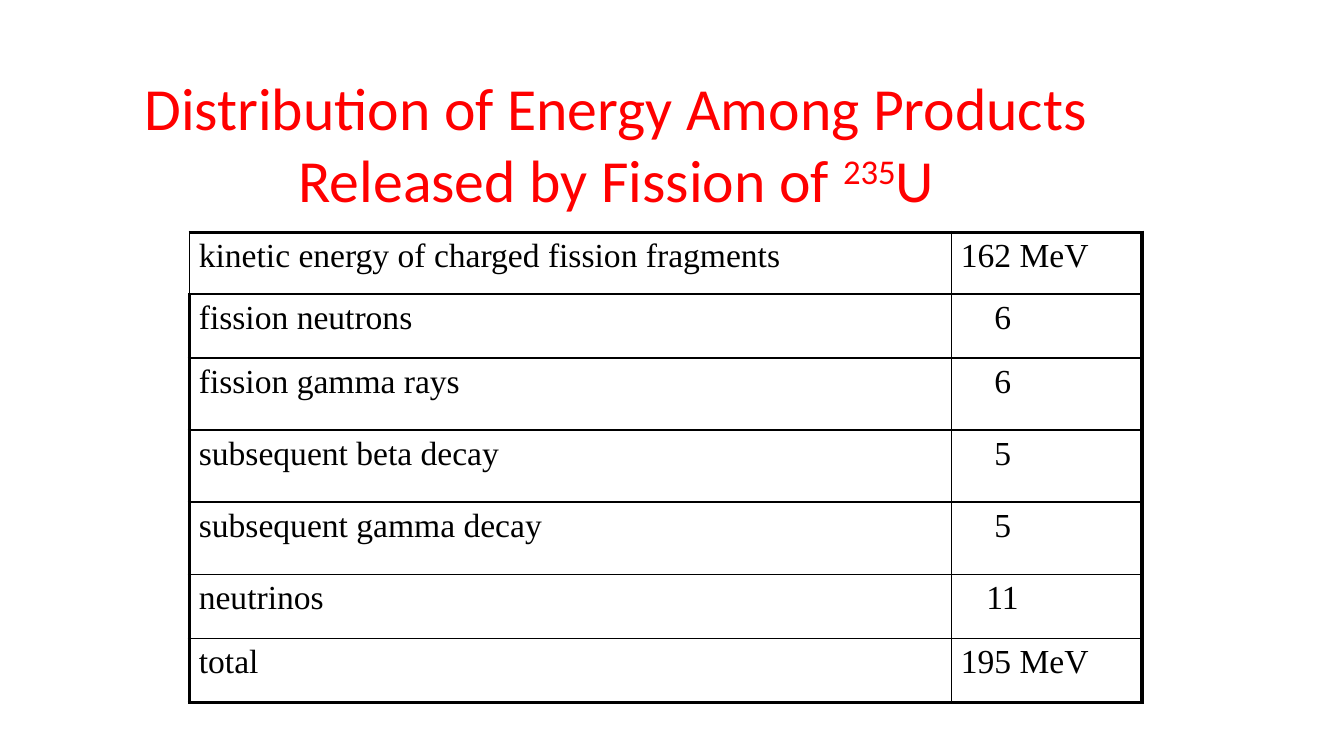
"""Build a slide with a table of the energy released by fission of uranium-235."""
import pptx
import pptx.dml.color
import pptx.enum.text
import pptx.oxml.ns
import pptx.util
from lxml import etree

Inches = pptx.util.Inches
Pt = pptx.util.Pt

TITLE = [
    ("Distribution of Energy Among Products Released by Fission of ", 0),
    ("235", 30),
    ("U", 0),
]
ROWS = [
    ("kinetic energy of charged fission fragments", "162 MeV", 0.46),
    ("fission neutrons", "6", 0.48),
    ("fission gamma rays", "6", 0.54),
    ("subsequent beta decay", "5", 0.54),
    ("subsequent gamma decay", "5", 0.54),
    ("neutrinos", "11", 0.48),
    ("total", "195 MeV", 0.48),
]
COLUMN_WIDTHS = [5.67, 1.42]
TABLE_HEIGHT = 3.5
VALUE_INDENTS = {1: 0.25, 2: 0.19}
THIN, THICK = 1, 2.25


def color(hex_text):
    return pptx.dml.color.RGBColor.from_string(hex_text)


def add_text(p, text, font="Times New Roman", size=18, fill="000000", baseline=0):
    r = p.add_run()
    r.text = text
    r.font.name = font
    r.font.size = Pt(size)
    r.font.color.rgb = color(fill)
    if baseline:
        r._r.get_or_add_rPr().set("baseline", str(baseline * 1000))


def set_borders(cell, **widths):
    tcPr = cell._tc.get_or_add_tcPr()
    for side in "LRTB":
        ln = etree.SubElement(tcPr, pptx.oxml.ns.qn(f"a:ln{side}"), w=str(Pt(widths[side])))
        fill = etree.SubElement(ln, pptx.oxml.ns.qn("a:solidFill"))
        etree.SubElement(fill, pptx.oxml.ns.qn("a:srgbClr"), val="000000")


def add_title(slide):
    sp = slide.shapes.title
    sp.left, sp.top, sp.width, sp.height = map(Inches, (0.67, 0.48, 7.83, 1.18))
    tf = sp.text_frame
    tf.word_wrap = True
    tf.auto_size = pptx.enum.text.MSO_AUTO_SIZE.SHAPE_TO_FIT_TEXT
    tf.vertical_anchor = pptx.enum.text.MSO_ANCHOR.TOP
    p = tf.paragraphs[0]
    p.alignment = pptx.enum.text.PP_ALIGN.CENTER
    for text, baseline in TITLE:
        add_text(p, text, font="Calibri", size=32, fill="FF0000", baseline=baseline)


def add_energy_table(slide):
    table = slide.shapes.add_table(
        len(ROWS), 2, Inches(1.41), Inches(1.73), Inches(sum(COLUMN_WIDTHS)), Inches(TABLE_HEIGHT)
    ).table
    table.first_row = table.horz_banding = False
    for column, width in zip(table.columns, COLUMN_WIDTHS):
        column.width = Inches(width)
    scale = TABLE_HEIGHT / sum(row[2] for row in ROWS)
    last = len(ROWS) - 1
    for i, (product, energy, row_height) in enumerate(ROWS):
        table.rows[i].height = Inches(row_height * scale)
        for j, text in enumerate((product, energy)):
            cell = table.cell(i, j)
            cell.margin_left = cell.margin_right = Inches(0.07)
            cell.margin_top = cell.margin_bottom = Inches(0.04)
            set_borders(
                cell,
                L=THICK if j == 0 and i > 0 else THIN,
                R=THICK if j == 1 else THIN,
                T=THICK if i == 0 else THIN,
                B=THICK if i == last else THIN,
            )
            cell.fill.background()
            p = cell.text_frame.paragraphs[0]
            if j == 1 and len(text) in VALUE_INDENTS:
                p._p.get_or_add_pPr().set("marL", str(Inches(VALUE_INDENTS[len(text)])))
            add_text(p, text)


def main():
    prs = pptx.Presentation()
    prs.slide_width = Inches(10)
    prs.slide_height = prs.slide_width * 9 // 16
    slide = prs.slides.add_slide(prs.slide_layouts[5])
    add_energy_table(slide)
    add_title(slide)
    prs.save("out.pptx")


if __name__ == "__main__":
    main()
